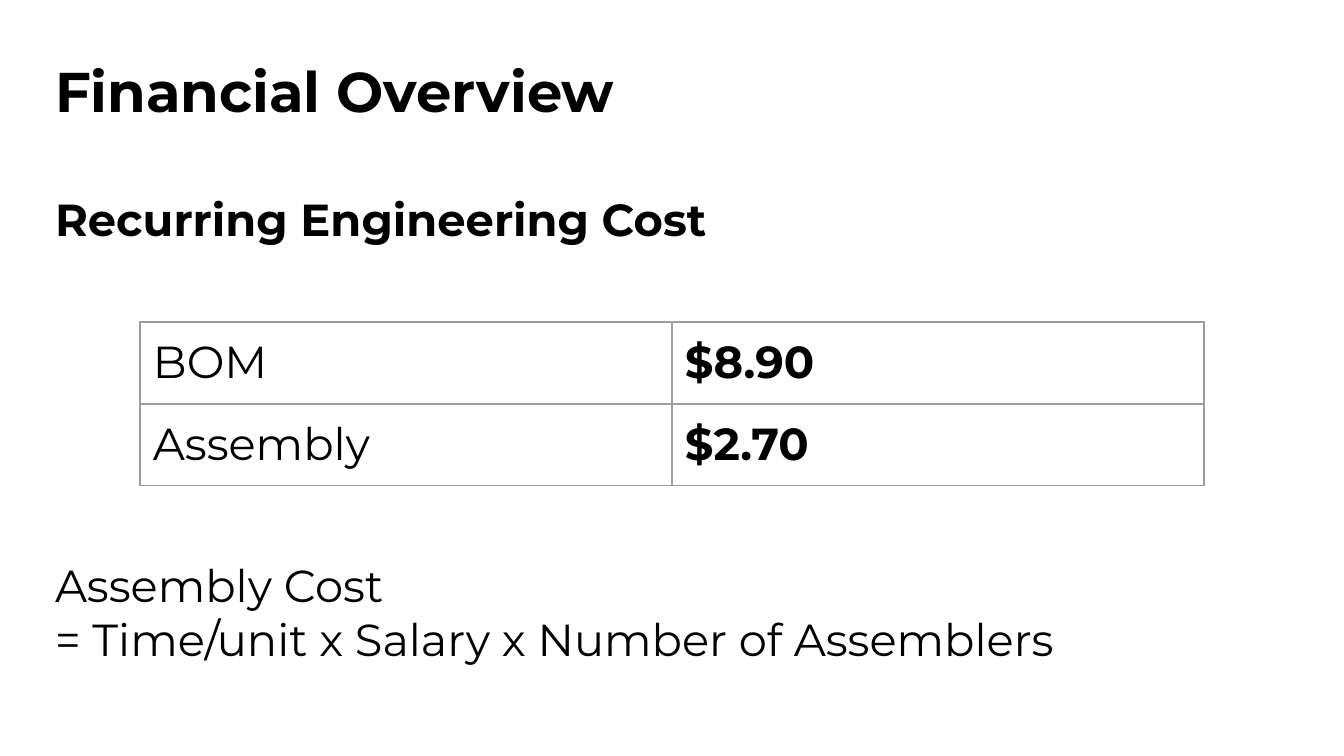
from lxml import etree
from pptx import Presentation
from pptx.dml.color import RGBColor
from pptx.enum.text import MSO_ANCHOR, MSO_AUTO_SIZE, PP_ALIGN
from pptx.oxml.ns import qn
from pptx.util import Emu, Inches, Pt

TOP = MSO_ANCHOR.TOP
NO_FIT = MSO_AUTO_SIZE.NONE
LEFT = PP_ALIGN.LEFT
SCALE = Inches(10) / 1344
COLORS = {"text": "000000", "border": "9E9E9E", "background": "FFFFFF"}
FONT = "Montserrat"
INSET = 13
BORDER_WIDTH = Pt(0.75)


def px(length):
    return Emu(round(length * SCALE))


class SlideBuilder:
    def __init__(self, page):
        self.page = page
        fill = page.background.fill
        fill.solid()
        fill.fore_color.rgb = RGBColor.from_string(COLORS["background"])

    def style_runs(self, para, size, bold):
        para.alignment = LEFT
        for span in para.runs:
            span.font.name = FONT
            span.font.size = Pt(size)
            span.font.bold = bold
            span.font.color.rgb = RGBColor.from_string(COLORS["text"])

    def set_insets(self, holder):
        holder.margin_left = holder.margin_right = px(INSET)
        holder.margin_top = holder.margin_bottom = px(INSET)
        holder.vertical_anchor = TOP

    def place(self, box, left, top, width, height):
        box.left, box.top = px(left), px(top)
        box.width, box.height = px(width), px(height)
        frame = box.text_frame
        frame.word_wrap = True
        frame.auto_size = NO_FIT
        self.set_insets(frame)
        return frame

    def title(self, text, bounds):
        frame = self.place(self.page.shapes.title, *bounds)
        frame.text = text
        self.style_runs(frame.paragraphs[0], 30, True)

    def body(self, lines, bounds):
        frame = self.place(self.page.placeholders[1], *bounds)
        frame.text = "\n".join(text for text, _, _ in lines)
        for para, (_, bold, gap) in zip(frame.paragraphs, lines):
            props = para._p.get_or_add_pPr()
            props.set("marL", "0")
            props.set("indent", "0")
            etree.SubElement(props, qn("a:buNone"))
            para.space_before = Pt(gap)
            self.style_runs(para, 24, bold)

    def border(self, cell):
        props = cell._tc.get_or_add_tcPr()
        for index, side in enumerate(("lnL", "lnR", "lnT", "lnB")):
            line = etree.Element(qn(f"a:{side}"), w=str(BORDER_WIDTH))
            fill = etree.SubElement(line, qn("a:solidFill"))
            etree.SubElement(fill, qn("a:srgbClr"), val=COLORS["border"])
            props.insert(index, line)

    def table(self, rows, left, top, column_width, row_height):
        columns = len(rows[0])
        frame = self.page.shapes.add_table(
            len(rows), columns, px(left), px(top),
            px(column_width * columns), px(row_height * len(rows)))
        grid = frame.table
        grid.first_row = grid.horz_banding = False
        for row_index, values in enumerate(rows):
            for column_index, value in enumerate(values):
                cell = grid.cell(row_index, column_index)
                cell.text_frame.text = value
                self.style_runs(cell.text_frame.paragraphs[0], 24, column_index == 1)
                self.set_insets(cell)
                cell.fill.background()
                self.border(cell)


def main():
    deck = Presentation()
    deck.slide_width, deck.slide_height = px(1344), px(756)
    slide = SlideBuilder(deck.slides.add_slide(deck.slide_layouts[1]))
    slide.title("Financial Overview", (42, 43, 1247, 95))
    slide.body([
        ("Recurring Engineering Cost", True, 0),
        ("Assembly Cost", False, 167),
        ("= Time/unit x Salary x Number of Assemblers", False, 0),
    ], (42, 179, 1247, 533))
    slide.table([("BOM", "$8.90"), ("Assembly", "$2.70")], 140, 322, 532, 82)
    deck.save("out.pptx")


if __name__ == "__main__":
    main()
